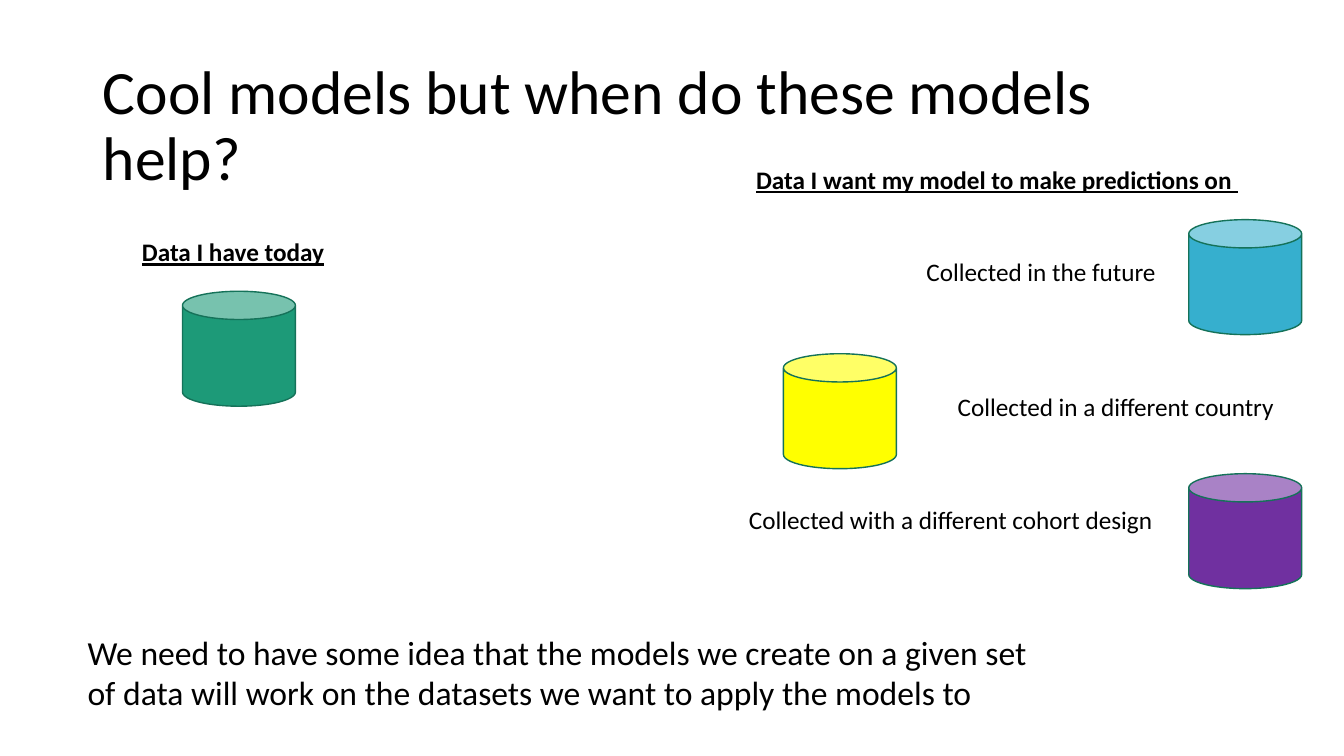
import pptx
import pptx.util
import pptx.dml.color
import pptx.enum.shapes
import pptx.enum.text

Inches = pptx.util.Inches
COLORS = {
    "text": "000000",
    "outline": "157259",
    "today": "1D9A78",
    "future": "36AFCE",
    "country": "FFFF00",
    "cohort": "7030A0",
}
CAN_W, CAN_H = 1.12, 1.14
LABEL_H = 0.4


def rgb(name):
    return pptx.dml.color.RGBColor.from_string(COLORS[name])


def add_run(p, text, size, heading=False):
    r = p.add_run()
    r.text = text
    r.font.name = "Calibri"
    r.font.size = pptx.util.Pt(size)
    r.font.color.rgb = rgb("text")
    if heading:
        r.font.bold = True
        r.font.underline = True


def add_label(slide, box, text, size=18, heading=False, wrap=False):
    sp = slide.shapes.add_textbox(*map(Inches, box))
    tf = sp.text_frame
    tf.word_wrap = wrap
    tf.auto_size = pptx.enum.text.MSO_AUTO_SIZE.SHAPE_TO_FIT_TEXT
    add_run(tf.paragraphs[0], text, size, heading)


def add_can(slide, left, top, color):
    sp = slide.shapes.add_shape(
        pptx.enum.shapes.MSO_SHAPE.CAN,
        *map(Inches, (left, top, CAN_W, CAN_H)))
    sp.shadow.inherit = False
    sp.fill.solid()
    sp.fill.fore_color.rgb = rgb(color)
    sp.line.color.rgb = rgb("outline")
    sp.line.width = pptx.util.Pt(1)


def add_title(slide, box, text):
    sp = slide.shapes.title
    sp.left, sp.top, sp.width, sp.height = map(Inches, box)
    tf = sp.text_frame
    tf.word_wrap = True
    tf.vertical_anchor = pptx.enum.text.MSO_ANCHOR.MIDDLE
    p = tf.paragraphs[0]
    p.alignment = pptx.enum.text.PP_ALIGN.LEFT
    p.line_spacing = 0.9
    add_run(p, text, 44)


def add_today(slide, box):
    left, top, width, height = box
    add_label(slide, (left, top, width, LABEL_H), "Data I have today", heading=True)
    add_can(slide, left + 0.5, top + height - CAN_H, "today")


def add_targets(slide, box):
    left, top, width, height = box
    right = left + width
    add_label(slide, (left + 0.07, top, 5.02, LABEL_H),
              "Data I want my model to make predictions on ", heading=True)
    targets = [
        ("future", "Collected in the future", right - CAN_W, 0.6, 1.76, 2.51, 0.31, False),
        ("country", "Collected in a different country", left + 0.44, 1.93, 2.07, 3.51, 0.32, False),
        ("cohort", "Collected with a different cohort design",
         right - CAN_W, height - CAN_H, 0, 4.46, 0.25, True),
    ]
    for color, text, can_left, can_dy, label_dx, label_w, label_dy, wrap in targets:
        add_can(slide, can_left, top + can_dy, color)
        add_label(slide, (left + label_dx, top + can_dy + label_dy, label_w, LABEL_H),
                  text, wrap=wrap)


def main():
    prs = pptx.Presentation()
    prs.slide_width, prs.slide_height = Inches(13.33), Inches(7.5)
    slide = prs.slides.add_slide(prs.slide_layouts[5])
    add_title(slide, (0.92, 0.54, 11.5, 1.45), "Cool models but when do these models help?")
    add_today(slide, (1.31, 2.3, 2.03, 1.73))
    add_targets(slide, (7.33, 1.58, 5.58, 4.26))
    add_label(slide, (0.77, 6.22, 9.84, 0.91),
              "We need to have some idea that the models we create on a given set of data "
              "will work on the datasets we want to apply the models to", size=24, wrap=True)
    prs.save("out.pptx")


if __name__ == "__main__":
    main()
